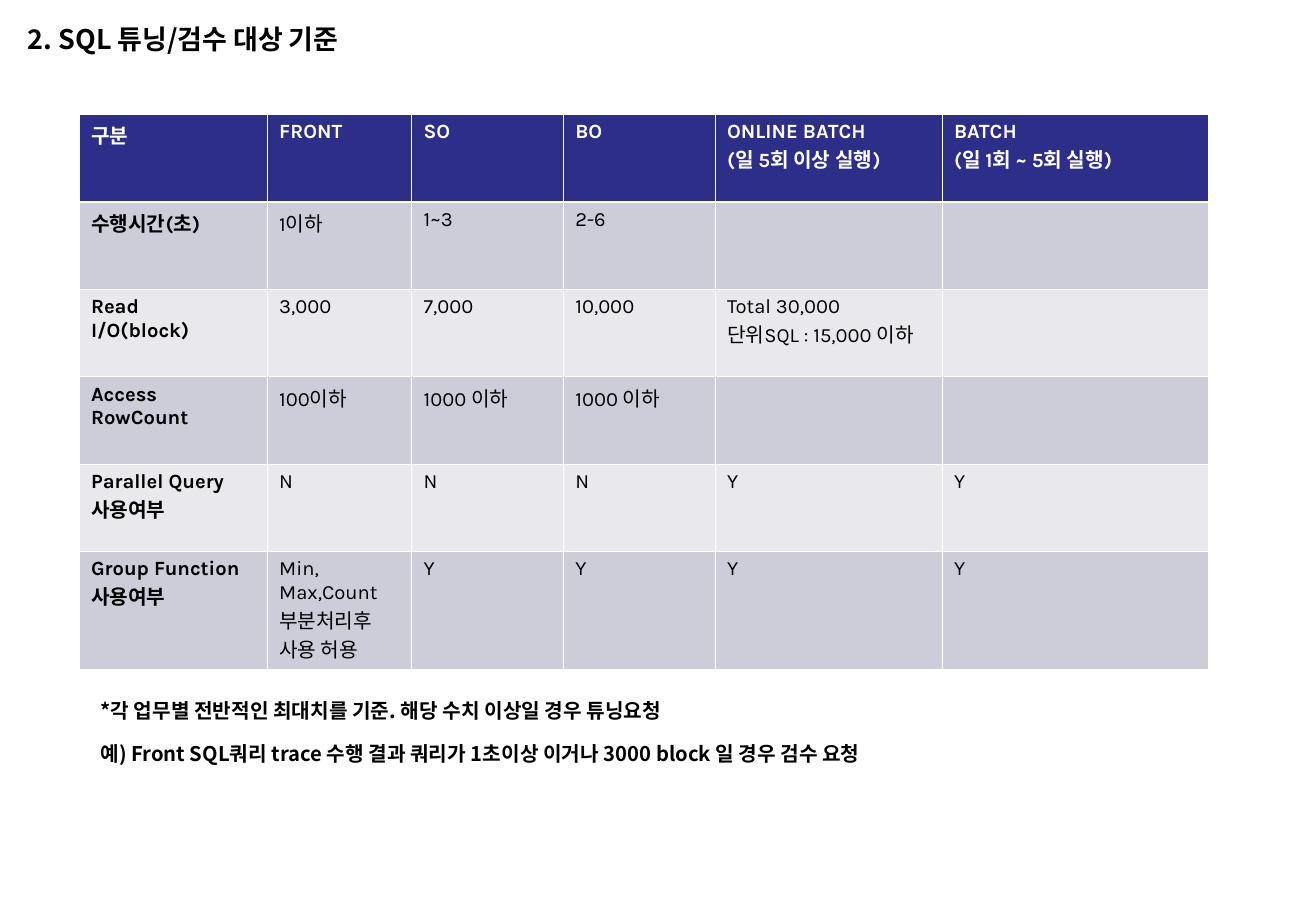
from lxml.etree import SubElement
from pptx import Presentation
from pptx.dml.color import RGBColor
from pptx.enum.text import MSO_ANCHOR, PP_ALIGN
from pptx.oxml.ns import qn
from pptx.util import Inches, Pt

COLORS = {
    "header": "2D2D8A",
    "band_dark": "CDCDDA",
    "band_light": "E8E8ED",
    "white": "FFFFFF",
    "black": "000000",
}
LATIN = "Karla"
KOREAN = "Noto Sans CJK KR"

COL_WIDTHS = [1.55, 1.19, 1.25, 1.25, 1.87, 2.19]
ROW_HEIGHTS = [0.72] * 5 + [0.9]
CRITERIA = [
    ["구분", "FRONT", "SO", "BO", "ONLINE BATCH\n(일 5회 이상 실행)",
     "BATCH\n(일 1회 ~ 5회 실행)"],
    ["수행시간(초)", "1이하", "1~3", "2-6", "", ""],
    ["Read\nI/O(block)", "3,000", "7,000", "10,000",
     "Total 30,000\n단위SQL : 15,000 이하", ""],
    ["Access RowCount", "100이하", "1000 이하", "1000 이하", "", ""],
    ["Parallel Query\n사용여부", "N", "N", "N", "Y", "Y"],
    ["Group Function\n사용여부", "Min, Max,Count\n부분처리후\n사용 허용",
     "Y", "Y", "Y", "Y"],
]
NOTES = [
    "*각 업무별 전반적인 최대치를 기준. 해당 수치 이상일 경우 튜닝요청",
    "예) Front SQL쿼리 trace 수행 결과 쿼리가 1초이상 이거나 3000 block 일 경우 검수 요청",
]


def rgb(name):
    return RGBColor.from_string(COLORS[name])


def write(tf, lines, size, font=KOREAN, color="black", bold=True, gap=0):
    tf.text = "\n".join(lines)
    for i, p in enumerate(tf.paragraphs):
        p.alignment = PP_ALIGN.LEFT
        p.space_before = Pt(gap if i else 0)
        p.font.name = font
        p.font.size = Pt(size)
        p.font.bold = bold
        p.font.color.rgb = rgb(color)
        # Hangul font
        ea = SubElement(p.font._element, qn("a:ea"))
        ea.set("typeface", KOREAN)


def set_borders(cell, widths):
    tc_pr = cell._tc.get_or_add_tcPr()
    for side, width in zip("LRTB", widths):
        ln = SubElement(tc_pr, qn(f"a:ln{side}"), w=str(Pt(width)))
        fill = SubElement(ln, qn("a:solidFill"))
        SubElement(fill, qn("a:srgbClr"), val=COLORS["white"])


def add_title(slide, text):
    sp = slide.shapes.title
    sp.left, sp.top = Inches(0.13), Inches(0.13)
    sp.width, sp.height = Inches(6.31), Inches(0.37)
    sp.text_frame.vertical_anchor = MSO_ANCHOR.MIDDLE
    write(sp.text_frame, [text], 16)


def add_criteria_table(slide):
    table = slide.shapes.add_table(
        len(CRITERIA), len(COL_WIDTHS), Inches(0.65), Inches(0.94),
        Inches(sum(COL_WIDTHS)), Inches(sum(ROW_HEIGHTS))).table
    for col, width in zip(table.columns, COL_WIDTHS):
        col.width = Inches(width)
    for row, height in zip(table.rows, ROW_HEIGHTS):
        row.height = Inches(height)

    for r, row in enumerate(CRITERIA):
        band = "header" if r == 0 else "band_dark" if r % 2 else "band_light"
        top = 1.47 if r == 1 else 0.45
        bottom = 1.47 if r == 0 else 0.45
        for c, text in enumerate(row):
            cell = table.cell(r, c)
            set_borders(cell, [0.45, 0.45, top, bottom])
            cell.fill.solid()
            cell.fill.fore_color.rgb = rgb(band)
            write(cell.text_frame, text.split("\n"), 12, LATIN,
                  color="black" if r else "white", bold=r == 0 or c == 0)


def add_notes_box(slide):
    sp = slide.shapes.add_textbox(
        Inches(0.73), Inches(5.7), Inches(6.86), Inches(0.7))
    sp.text_frame.word_wrap = False
    write(sp.text_frame, NOTES, 12, gap=11)


def main():
    prs = Presentation()
    prs.slide_width, prs.slide_height = Inches(10.84), Inches(7.5)
    slide = prs.slides.add_slide(prs.slide_layouts[5])

    # Heading, criteria by workload, remarks
    add_title(slide, "2. SQL 튜닝/검수 대상 기준")
    add_criteria_table(slide)
    add_notes_box(slide)

    prs.save("out.pptx")


if __name__ == "__main__":
    main()
